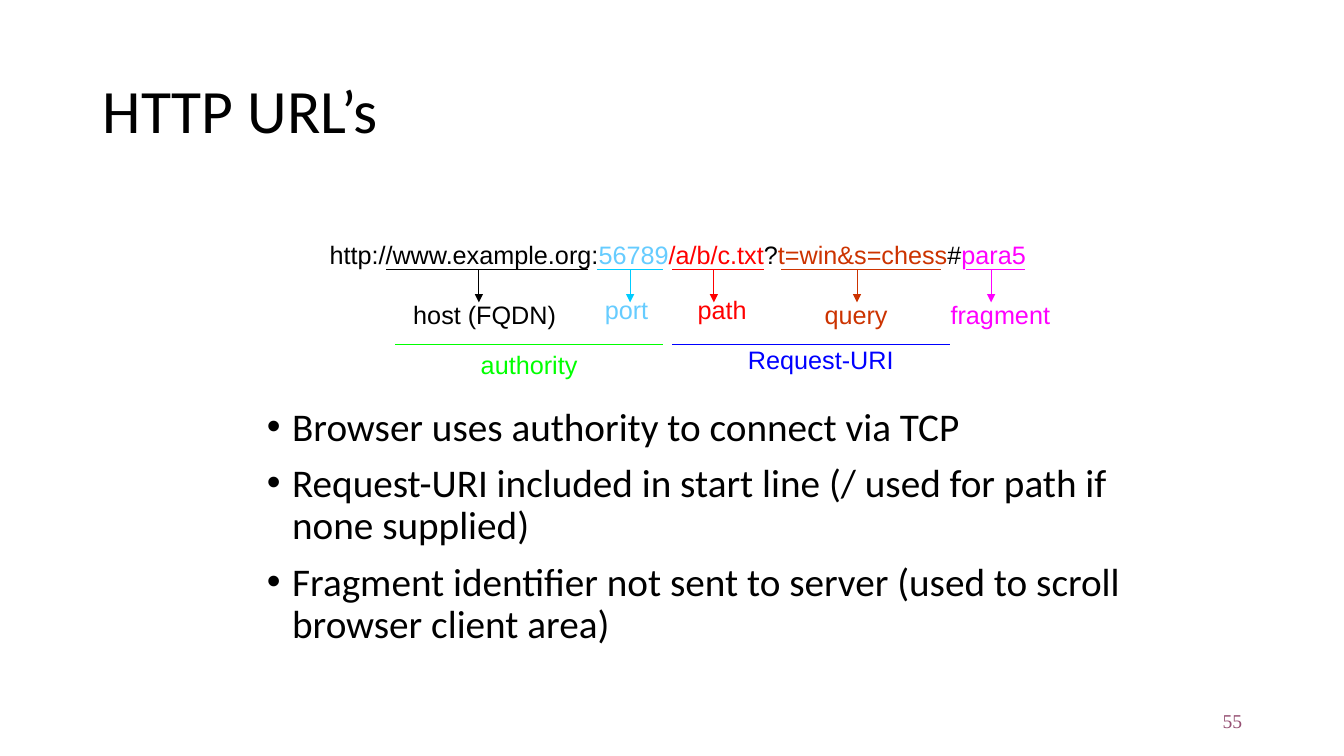
import pptx
import pptx.dml.color
import pptx.enum.shapes
import pptx.enum.text
import pptx.oxml.ns
import pptx.util
from lxml import etree

RGBColor = pptx.dml.color.RGBColor
Inches = pptx.util.Inches
Pt = pptx.util.Pt
Align = pptx.enum.text.PP_ALIGN
Anchor = pptx.enum.text.MSO_ANCHOR
AutoSize = pptx.enum.text.MSO_AUTO_SIZE
Connector = pptx.enum.shapes.MSO_CONNECTOR
qn = pptx.oxml.ns.qn

BLACK = RGBColor(0x00, 0x00, 0x00)
SKY = RGBColor(0x66, 0xCC, 0xFF)
CYAN = RGBColor(0x00, 0xCC, 0xFF)
RED = RGBColor(0xFF, 0x00, 0x00)
RUST = RGBColor(0xCC, 0x33, 0x00)
MAGENTA = RGBColor(0xFF, 0x00, 0xFF)
GREEN = RGBColor(0x00, 0xFF, 0x00)
BLUE = RGBColor(0x00, 0x00, 0xFF)
PLUM = RGBColor(0x95, 0x4F, 0x72)

TITLE = {"name": "Calibri", "size": Pt(44)}
BODY = {"name": "Calibri", "size": Pt(28)}
LABEL = {"name": "Arial", "size": Pt(18)}
NUMBER = {"name": "Times New Roman", "size": Pt(14)}

UNDERLINE_Y = 2.67
ARROW_END_Y = 3
GROUP_Y = 3.42
LABEL_HEIGHT = 0.4


def apply(target, values):
    for key, value in values.items():
        setattr(target, key, value)


class UrlSlide:
    def __init__(self, deck):
        self.slide = deck.slides.add_slide(deck.slide_layouts[6])
        self.line_width = Pt(0.75)

    def frame(self, left, top, width, height, **settings):
        box = self.slide.shapes.add_textbox(*map(Inches, (left, top, width, height)))
        apply(box.text_frame, {"word_wrap": True, **settings})
        return box.text_frame

    def add_runs(self, paragraph, runs, style, **settings):
        apply(paragraph, settings)
        for words, color in runs:
            run = paragraph.add_run()
            run.text = words
            apply(run.font, style)
            run.font.color.rgb = color

    def text(self, place, words, style, color=BLACK, **settings):
        frame = self.frame(*place, vertical_anchor=Anchor.MIDDLE)
        self.add_runs(frame.paragraphs[0], [(words, color)], style, **settings)

    def label(self, left, top, width, runs):
        frame = self.frame(left, top, width, LABEL_HEIGHT, word_wrap=False,
                           auto_size=AutoSize.SHAPE_TO_FIT_TEXT)
        self.add_runs(frame.paragraphs[0], runs, LABEL)

    def bullets(self, place, items):
        frame = self.frame(*place)
        for index, item in enumerate(items):
            paragraph = frame.add_paragraph() if index else frame.paragraphs[0]
            properties = paragraph._p.get_or_add_pPr()
            properties.set("marL", str(Inches(0.25)))
            properties.set("indent", str(Inches(-0.25)))
            etree.SubElement(properties, qn("a:buFont")).set("typeface", "Arial")
            etree.SubElement(properties, qn("a:buChar")).set("char", "•")
            self.add_runs(paragraph, [(item, BLACK)], BODY, line_spacing=0.9,
                          space_before=Pt(10 if index else 0))

    def line(self, start, end, color, arrow=False):
        connector = self.slide.shapes.add_connector(
            Connector.STRAIGHT, *map(Inches, start + end))
        connector.line.color.rgb = color
        connector.line.width = self.line_width
        properties = connector._element.spPr
        if arrow:
            outline = properties.get_or_add_ln()
            etree.SubElement(outline, qn("a:tailEnd")).set("type", "triangle")
        etree.SubElement(properties, qn("a:effectLst"))

    def url_part(self, name, span, arrow_x, label_place, line_color, text_color):
        start, end = span
        self.line((start, UNDERLINE_Y), (end, UNDERLINE_Y), line_color)
        self.line((arrow_x, UNDERLINE_Y), (arrow_x, ARROW_END_Y), line_color, arrow=True)
        self.label(*label_place, [(name, text_color)])

    def url_group(self, name, span, label_place, color):
        start, end = span
        self.line((start, GROUP_Y), (end, GROUP_Y), color)
        self.label(*label_place, [(name, color)])


def main():
    deck = pptx.Presentation()
    apply(deck, {"slide_width": Inches(13.33), "slide_height": Inches(7.5)})
    page = UrlSlide(deck)

    page.text((9.42, 6.95, 3, 0.4), "55", NUMBER, PLUM, alignment=Align.RIGHT)
    page.text((0.92, 0.4, 11.5, 1.45), "HTTP URL’s", TITLE, line_spacing=0.9)
    page.bullets((2.55, 3.99, 8.7, 2.67), [
        "Browser uses authority to connect via TCP",
        "Request-URI included in start line (/ used for path if none supplied)",
        "Fragment identifier not sent to server (used to scroll browser client area)",
    ])
    page.label(3.17, 2.33, 7.12, [
        ("http://www.example.org:", BLACK),
        ("56789", SKY),
        ("/a/b/c.txt", RED),
        ("?", BLACK),
        ("t=win&s=chess", RUST),
        ("#", BLACK),
        ("para5", MAGENTA),
    ])

    for url_part in [
        ("host (FQDN)", (3.83, 5.83), 4.75, (4, 2.92, 1.62), BLACK, BLACK),
        ("port", (5.92, 6.58), 6.25, (5.9, 2.87, 0.63), CYAN, SKY),
        ("path", (6.67, 7.58), 7.08, (6.82, 2.87, 0.69), RED, RED),
        ("query", (7.75, 9.33), 8.5, (8.08, 2.92, 0.83), RUST, RUST),
        ("fragment", (9.58, 10.17), 9.83, (9.33, 2.92, 1.19), MAGENTA, MAGENTA),
    ]:
        page.url_part(*url_part)

    page.url_group("authority", (3.92, 6.58), (4.67, 3.42, 1.16), GREEN)
    page.url_group("Request-URI", (6.67, 9.42), (7.32, 3.37, 1.65), BLUE)

    deck.save("out.pptx")


if __name__ == "__main__":
    main()
